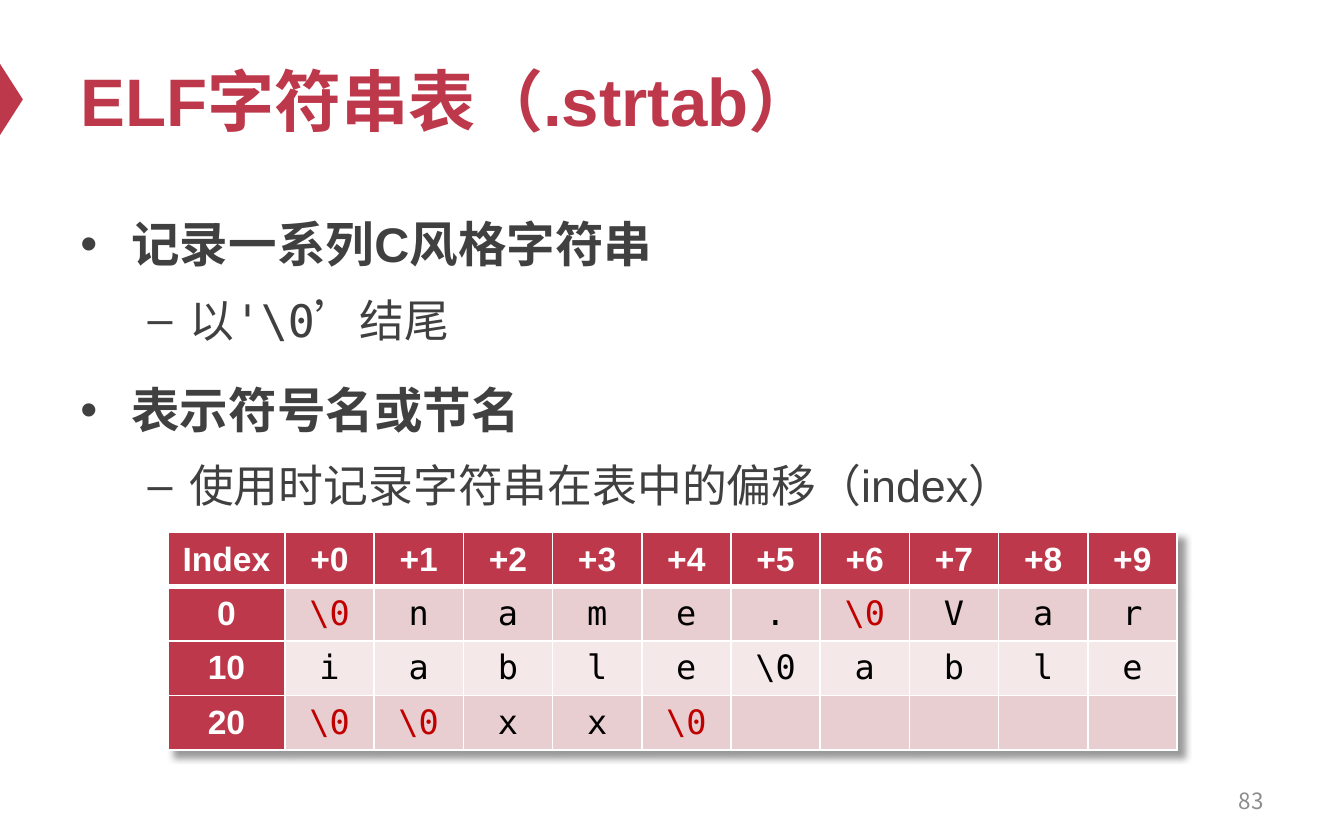
from lxml.etree import SubElement
from pptx import Presentation
from pptx.dml.color import RGBColor
from pptx.enum.shapes import MSO_SHAPE
from pptx.enum.text import MSO_ANCHOR, PP_ALIGN
from pptx.oxml import parse_xml
from pptx.oxml.ns import qn
from pptx.util import Inches, Pt

RED = RGBColor(0xBE, 0x38, 0x4B)
DARK_RED = RGBColor(0xC0, 0x00, 0x00)
GREY = RGBColor(0x40, 0x40, 0x40)
PAGE_GREY = RGBColor(0x8C, 0x8C, 0x8C)
PINK = RGBColor(0xE8, 0xCE, 0xD0)
PALE_PINK = RGBColor(0xF4, 0xE8, 0xE9)
WHITE = RGBColor(0xFF, 0xFF, 0xFF)
BLACK = RGBColor(0, 0, 0)

SANS, MONO, CJK = "Arial", "DejaVu Sans Mono", "Noto Sans CJK SC"
A_NS = "http://schemas.openxmlformats.org/drawingml/2006/main"

OUTLINE = [
    (0, [("记录一系列C风格字符串", SANS)]),
    (1, [("以", SANS), ("'\\0’", MONO), ("结尾", SANS)]),
    (0, [("表示符号名或节名", SANS)]),
    (1, [("使用时记录字符串在表中的偏移（index）", SANS)]),
]
# level: (size, bold, left margin, hanging indent, space before, bullet)
LEVELS = [(26, True, 0.38, 0.38, 12, "•"), (24, False, 0.81, 0.31, 4.8, "–")]

STRINGS = [
    ["\\0", *"name.", "\\0", *"Var"],
    [*"iable", "\\0", *"able"],
    ["\\0", "\\0", "x", "x", "\\0"],
]
PLAIN_NUL = (1, 5)  # the one terminator that is not highlighted


def add_text(paragraph, text, *, size, color, font=SANS, bold=False, align=None):
    if align is not None:
        paragraph.alignment = align
    run = paragraph.add_run()
    run.text = text
    run.font.size, run.font.bold, run.font.name = Pt(size), bold, font
    run.font.color.rgb = color
    SubElement(run.font._element, qn("a:ea")).set("typeface", CJK)


def add_frame(slide, box, anchor):
    frame = slide.shapes.add_textbox(*map(Inches, box)).text_frame
    frame.word_wrap = True
    frame.vertical_anchor = anchor
    return frame


def draw_title(slide, box):
    # Edge marker, turned to point right, level with the title
    _, top, _, height = box
    length, depth = 0.53, 0.17
    marker = slide.shapes.add_shape(
        MSO_SHAPE.ISOSCELES_TRIANGLE, Inches((depth - length) / 2),
        Inches(top + (height - depth) / 2), Inches(length), Inches(depth))
    marker.rotation = 90
    marker.shadow.inherit = False
    marker.fill.solid()
    marker.fill.fore_color.rgb = RED
    marker.line.fill.background()

    frame = add_frame(slide, box, MSO_ANCHOR.MIDDLE)
    add_text(frame.paragraphs[0], "ELF字符串表（.strtab）", size=36, color=RED, bold=True)


def draw_outline(slide, box):
    frame = add_frame(slide, box, MSO_ANCHOR.TOP)
    for number, (level, runs) in enumerate(OUTLINE):
        size, bold, margin, hanging, before, bullet = LEVELS[level]
        paragraph = frame.add_paragraph() if number else frame.paragraphs[0]
        paragraph.level = level
        paragraph.line_spacing = 1.2
        paragraph.space_before = Pt(before if number else 0)
        properties = paragraph._p.get_or_add_pPr()
        properties.set("marL", str(Inches(margin)))
        properties.set("indent", str(-Inches(hanging)))
        SubElement(properties, qn("a:buFont")).set("typeface", SANS)
        SubElement(properties, qn("a:buChar")).set("char", bullet)
        for text, font in runs:
            add_text(paragraph, text, size=size, color=GREY, font=font, bold=bold)


def format_cell(cell, fill, bottom=1):
    properties = cell._tc.get_or_add_tcPr()
    for side, width in (("L", 1), ("R", 1), ("T", 1), ("B", bottom)):
        properties.append(parse_xml(
            f'<a:ln{side} xmlns:a="{A_NS}" w="{Pt(width)}"><a:solidFill>'
            f'<a:srgbClr val="{WHITE}"/></a:solidFill></a:ln{side}>'))
    cell.fill.solid()
    cell.fill.fore_color.rgb = fill
    cell.vertical_anchor = MSO_ANCHOR.MIDDLE


def draw_string_table(slide, box):
    left, top, width, height = map(Inches, box)
    index_width, offsets = Inches(0.87), 10
    table = slide.shapes.add_table(
        len(STRINGS) + 1, offsets + 1, left, top, width, height).table
    for number, column in enumerate(table.columns):
        column.width = (width - index_width) // offsets if number else index_width

    # Drop shadow to the lower right
    table._tbl.tblPr.insert(0, parse_xml(
        f'<a:effectLst xmlns:a="{A_NS}"><a:outerShdw blurRad="{Pt(4)}" dist="{Pt(4)}" '
        'dir="2700000" algn="tl" rotWithShape="0"><a:prstClr val="black">'
        '<a:alpha val="40000"/></a:prstClr></a:outerShdw></a:effectLst>'))

    def fill_heading(cell, text, bottom=1):
        format_cell(cell, RED, bottom)
        add_text(cell.text_frame.paragraphs[0], text, size=18, color=WHITE,
                 bold=True, align=PP_ALIGN.CENTER)

    # Header row
    for column, label in enumerate(["Index", *(f"+{n}" for n in range(offsets))]):
        fill_heading(table.cell(0, column), label, bottom=3)

    # Ten characters a row, terminators in red
    for row, characters in enumerate(STRINGS):
        fill_heading(table.cell(row + 1, 0), str(row * offsets))
        for offset in range(offsets):
            cell = table.cell(row + 1, offset + 1)
            format_cell(cell, PALE_PINK if row % 2 else PINK)
            if offset < len(characters):
                character = characters[offset]
                marked = character == "\\0" and (row, offset) != PLAIN_NUL
                add_text(cell.text_frame.paragraphs[0], character, size=18, font=MONO,
                         color=DARK_RED if marked else BLACK, align=PP_ALIGN.CENTER)


def draw_page_number(slide, box):
    frame = add_frame(slide, box, MSO_ANCHOR.MIDDLE)
    add_text(frame.paragraphs[0], "83", size=12, color=PAGE_GREY, font=CJK,
             align=PP_ALIGN.RIGHT)


def main():
    deck = Presentation()
    deck.slide_width, deck.slide_height = Inches(10), Inches(6.25)
    slide = deck.slides.add_slide(deck.slide_layouts[6])
    draw_title(slide, (0.5, 0.25, 9, 0.98))
    draw_outline(slide, (0.5, 1.46, 9, 4.12))
    draw_page_number(slide, (7.17, 5.79, 2.33, 0.33))
    draw_string_table(slide, (1.25, 3.96, 7.51, 1.62))
    deck.save("out.pptx")


if __name__ == "__main__":
    main()
